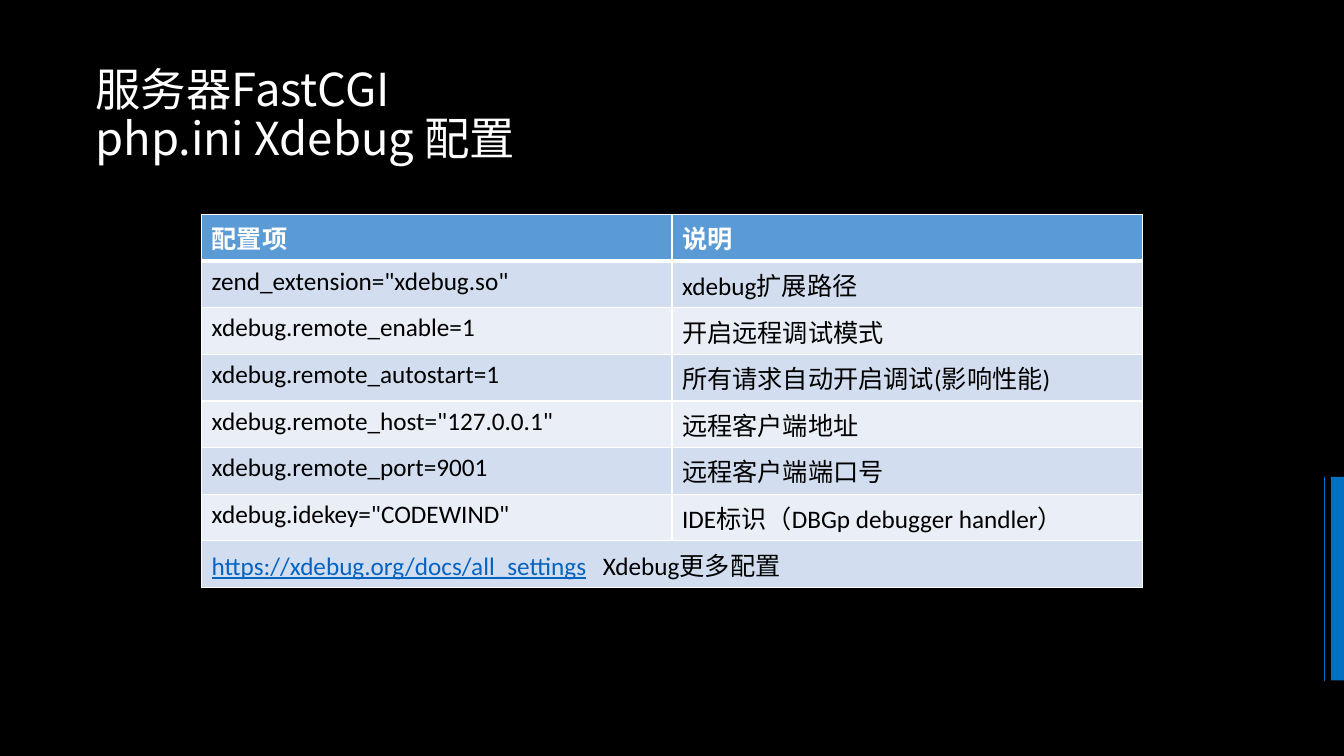
"""Build the slide about Xdebug settings in php.ini."""
from lxml import etree
from pptx import Presentation
from pptx import util as u
from pptx.dml.color import RGBColor
from pptx.enum import shapes, text
from pptx.oxml import ns

BLACK = RGBColor(0x00, 0x00, 0x00)
WHITE = RGBColor(0xFF, 0xFF, 0xFF)
ACCENT = RGBColor(0x00, 0x70, 0xC0)
HEADER = RGBColor(0x5B, 0x9B, 0xD5)
BANDS = (RGBColor(0xD2, 0xDE, 0xEF), RGBColor(0xEA, 0xEF, 0xF7))
LINK = RGBColor(0x05, 0x63, 0xC1)
CJK_FONT = "Noto Sans CJK SC"

SETTINGS = [
    ("配置项", "说明"),
    ('zend_extension="xdebug.so"', "xdebug扩展路径"),
    ("xdebug.remote_enable=1", "开启远程调试模式"),
    ("xdebug.remote_autostart=1", "所有请求自动开启调试(影响性能)"),
    ('xdebug.remote_host="127.0.0.1"', "远程客户端地址"),
    ("xdebug.remote_port=9001", "远程客户端端口号"),
    ('xdebug.idekey="CODEWIND"', "IDE标识（DBGp debugger handler）"),
]


def write(paragraph, words, size=18, font="Calibri", color=BLACK, bold=False, underline=False):
    """Add a formatted run to a paragraph."""
    run = paragraph.add_run()
    run.text = words
    run.font.size = u.Pt(size)
    run.font.name = font
    run.font.bold = bold
    run.font.underline = underline
    run.font.color.rgb = color
    latin = run.font._element.find(ns.qn("a:latin"))
    east_asian = etree.Element(ns.qn("a:ea"), typeface=CJK_FONT)
    latin.addnext(east_asian)


def border(cell, **widths):
    """Draw white borders of the given widths in points around a cell."""
    properties = cell._tc.get_or_add_tcPr()
    for index, side in enumerate("LRTB"):
        line = etree.Element(ns.qn(f"a:ln{side}"), w=str(u.Pt(widths.get(side, 1))))
        fill = etree.SubElement(line, ns.qn("a:solidFill"))
        etree.SubElement(fill, ns.qn("a:srgbClr"), val=str(WHITE))
        properties.insert(index, line)


class SlideBuilder:
    """Hold the slide and draw its elements in one style."""

    def __init__(self, deck):
        """Add a blank slide with a black background."""
        self.slide = deck.slides.add_slide(deck.slide_layouts[6])
        self.slide.background.fill.solid()
        self.slide.background.fill.fore_color.rgb = BLACK

    def bar(self, left, top, width, height):
        """Draw a plain accent bar."""
        bar = self.slide.shapes.add_shape(
            shapes.MSO_SHAPE.RECTANGLE, *map(u.Inches, (left, top, width, height)))
        bar.shadow.inherit = False
        bar.fill.solid()
        bar.fill.fore_color.rgb = ACCENT
        bar.line.fill.background()

    def line(self, x1, y1, x2, y2):
        """Draw a thin accent line."""
        line = self.slide.shapes.add_connector(
            shapes.MSO_CONNECTOR.STRAIGHT, *map(u.Inches, (x1, y1, x2, y2)))
        line.line.color.rgb = ACCENT
        line.line.width = u.Pt(0.5)
        etree.SubElement(line._element.spPr, ns.qn("a:effectLst"))

    def title(self, lines, left, top, width, height):
        """Write the title, one line under the other."""
        frame = self.slide.shapes.add_textbox(
            *map(u.Inches, (left, top, width, height))).text_frame
        frame.word_wrap = True
        frame.vertical_anchor = text.MSO_ANCHOR.MIDDLE
        paragraph = frame.paragraphs[0]
        paragraph.line_spacing = 0.9
        for index, words in enumerate(lines):
            if index:
                paragraph.add_line_break()
            write(paragraph, words, size=32.4, font=CJK_FONT, color=WHITE)

    def settings_table(self, rows, left, top, width, height):
        """Draw the banded settings table with a merged last row."""
        table = self.slide.shapes.add_table(
            len(rows) + 1, 2, *map(u.Inches, (left, top, width, height))).table
        for row_index, row in enumerate(table.rows):
            is_header = row_index == 0
            for cell in row.cells:
                cell.fill.solid()
                cell.fill.fore_color.rgb = HEADER if is_header else BANDS[(row_index - 1) % 2]
                border(cell, T=3 if row_index == 1 else 1, B=3 if is_header else 1)
            if row_index < len(rows):
                for cell, words in zip(row.cells, rows[row_index]):
                    write(cell.text_frame.paragraphs[0], words,
                          color=WHITE if is_header else BLACK, bold=is_header)
        footer = table.cell(len(rows), 0)
        footer.merge(table.cell(len(rows), 1))
        paragraph = footer.text_frame.paragraphs[0]
        write(paragraph, "https://xdebug.org/docs/all_settings", color=LINK, underline=True)
        write(paragraph, "\tXdebug更多配置")
        stops = etree.SubElement(paragraph._p.get_or_add_pPr(), ns.qn("a:tabLst"))
        etree.SubElement(stops, ns.qn("a:tab"), pos=str(u.Inches(3.88)), algn="l")


def main():
    """Create and save the presentation."""
    deck = Presentation()
    deck.slide_width, deck.slide_height = u.Inches(13.33), u.Inches(7.5)
    builder = SlideBuilder(deck)
    builder.bar(13.2, 4.73, 0.13, 2.02)
    builder.line(13.14, 4.73, 13.14, 6.76)
    builder.title(("服务器FastCGI", "php.ini Xdebug 配置"), 0.85, 0.7, 6.23, 0.91)
    builder.settings_table(SETTINGS, 2, 2.13, 9.33, 3.7)
    deck.save("out.pptx")


if __name__ == "__main__":
    main()
